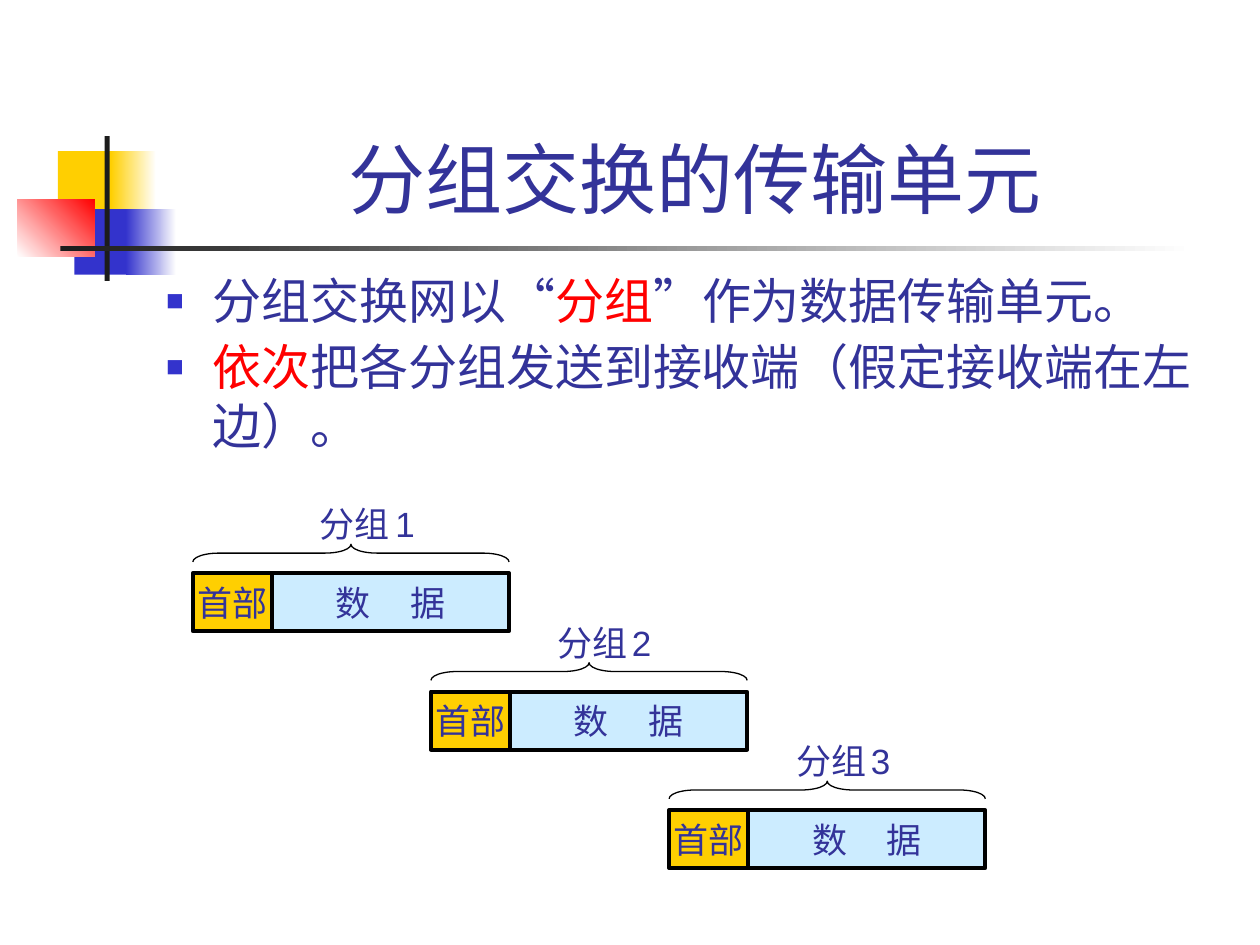
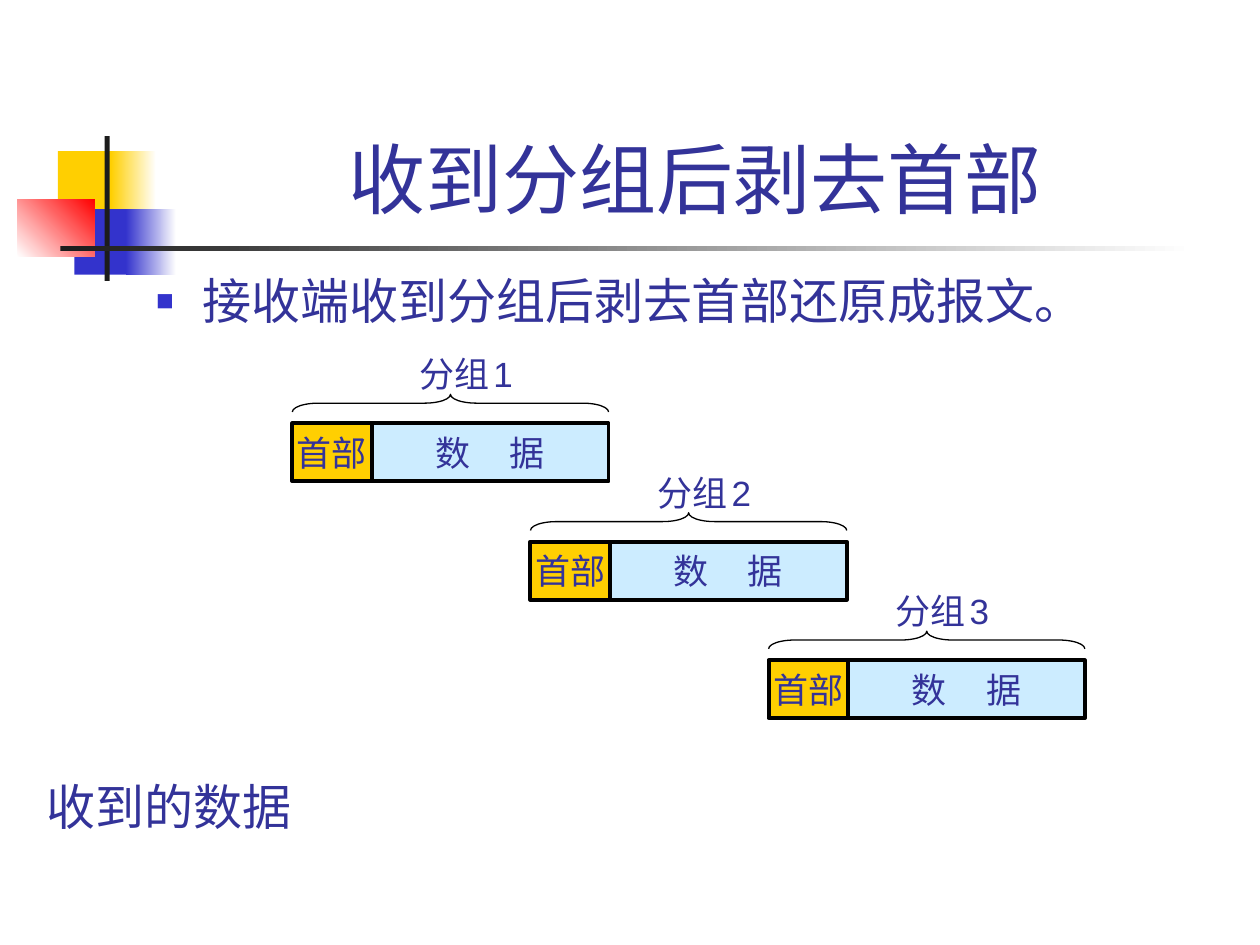
from dataclasses import dataclass
from typing import NamedTuple

from lxml.etree import SubElement
from pptx import Presentation
from pptx.dml.color import RGBColor
from pptx.enum.shapes import MSO_SHAPE
from pptx.enum.text import MSO_ANCHOR, MSO_AUTO_SIZE, PP_ALIGN
from pptx.oxml.ns import qn
from pptx.util import Inches, Pt

INK = "333399"
RED = "FF0000"
YELLOW = "FFCF01"
BLUE = "3333CC"
PALE_BLUE = "CCECFF"
CHARCOAL = "1C1C1C"
WHITE = "FFFFFF"
BLACK = "000000"
TITLE_FONT = "Arial"
LABEL_FONT = "Roboto"
STEP_X, STEP_Y = 1.89, 0.94
HEADER_WIDTH, DATA_WIDTH, PACKET_HEIGHT = 0.63, 1.88, 0.46


class Span(NamedTuple):
    text: str
    color: str = INK


@dataclass
class Block:
    left: float
    top: float
    width: float
    height: float
    start: str
    end: str = ""
    angle: int = 0


@dataclass
class PacketSlide:
    title: str
    body: tuple[float, float]
    bullets: list[list[Span]]
    first_packet: tuple[float, float]
    label_gaps: tuple[int, int, int]
    caption: str = ""


DECORATION = [
    Block(0.46, 1.2, 0.48, 0.52, YELLOW),
    Block(0.88, 1.2, 0.36, 0.52, YELLOW, WHITE),
    Block(0.59, 1.66, 0.46, 0.52, BLUE),
    Block(1, 1.66, 0.4, 0.52, BLUE, WHITE),
    Block(0.14, 1.58, 0.61, 0.46, WHITE, RED, 45),
    Block(0.83, 1.08, 0.04, 1.15, CHARCOAL),
    Block(0.48, 1.95, 9, 0.04, CHARCOAL, WHITE),
]

SLIDES = [
    PacketSlide(
        "分组交换的传输单元",
        (1.22, 4.73),
        [
            [Span("分组交换网以“"), Span("分组", RED), Span("”作为数据传输单元。")],
            [Span("依次", RED), Span("把各分组发送到接收端（假定接收端在左边）。")],
        ],
        (1.53, 4.55),
        (14, 10, 12),
    ),
    PacketSlide(
        "收到分组后剥去首部",
        (1.14, 1.1),
        [[Span("接收端收到分组后剥去首部还原成报文。")]],
        (2.32, 3.36),
        (10, 10, 10),
        "收到的数据",
    ),
]


def rgb(color: str) -> RGBColor:
    return RGBColor.from_string(color)


def set_font(font, size: float, name: str) -> None:
    font.size = Pt(size)
    font.name = name
    font.color.rgb = rgb(INK)


def add_rectangle(shapes, left: float, top: float, width: float, height: float):
    box = shapes.add_shape(
        MSO_SHAPE.RECTANGLE, Inches(left), Inches(top), Inches(width), Inches(height)
    )
    box.shadow.inherit = False
    return box


def add_text_box(shapes, left: float, top: float, width: float, height: float):
    box = shapes.add_textbox(Inches(left), Inches(top), Inches(width), Inches(height))
    box.text_frame.word_wrap = True
    return box.text_frame


def draw_block(page, block: Block) -> None:
    box = add_rectangle(page.shapes, block.left, block.top, block.width, block.height)
    box.line.fill.background()
    if not block.end:
        box.fill.solid()
        box.fill.fore_color.rgb = rgb(block.start)
        return
    box.fill.gradient()
    box.fill.gradient_angle = block.angle
    for stop, color in zip(box.fill.gradient_stops, (block.start, block.end)):
        stop.color.rgb = rgb(color)


def draw_title(page, title: str) -> None:
    frame = add_text_box(page.shapes, 1.26, 0.23, 8.52, 1.6)
    frame.vertical_anchor = MSO_ANCHOR.BOTTOM
    para = frame.paragraphs[0]
    para.text = title
    para.alignment = PP_ALIGN.CENTER
    set_font(para.font, 44, TITLE_FONT)


def add_bullet(para) -> None:
    properties = para._p.get_or_add_pPr()
    properties.set("marL", str(Inches(0.37)))
    properties.set("indent", str(-Inches(0.37)))
    bullet_color = SubElement(properties, qn("a:buClr"))
    SubElement(bullet_color, qn("a:srgbClr"), val=BLUE)
    SubElement(properties, qn("a:buSzPct"), val="60000")
    SubElement(properties, qn("a:buFont"), typeface=TITLE_FONT)
    SubElement(properties, qn("a:buChar"), char="■")


def draw_bullets(page, left: float, height: float, bullets: list[list[Span]]) -> None:
    frame = add_text_box(page.shapes, left, 2.1, 8.5, height)
    for index, spans in enumerate(bullets):
        para = frame.add_paragraph() if index else frame.paragraphs[0]
        add_bullet(para)
        if index:
            para.space_before = Pt(4)
        set_font(para.font, 28, TITLE_FONT)
        for span in spans:
            run = para.add_run()
            run.text = span.text
            run.font.color.rgb = rgb(span.color)


def draw_field(shapes, left: float, top: float, width: float, color: str, words: list[str]) -> None:
    box = add_rectangle(shapes, left, top, width, PACKET_HEIGHT)
    box.fill.solid()
    box.fill.fore_color.rgb = rgb(color)
    box.line.color.rgb = rgb(BLACK)
    box.line.width = Pt(2.25)
    frame = box.text_frame
    frame.word_wrap = False
    frame.vertical_anchor = MSO_ANCHOR.MIDDLE
    para = frame.paragraphs[0]
    para.alignment = PP_ALIGN.CENTER
    set_font(para.font, 20, LABEL_FONT)
    for word in words:
        run = para.add_run()
        run.text = word
        if word == " ":
            run.font._element.set("spc", "1800")


def draw_brace(shapes, center_x: float, center_y: float) -> None:
    thickness, span = 0.14, HEADER_WIDTH + DATA_WIDTH
    brace = shapes.add_shape(
        MSO_SHAPE.LEFT_BRACE,
        Inches(center_x - thickness / 2),
        Inches(center_y - span / 2),
        Inches(thickness),
        Inches(span),
    )
    brace.rotation = 90
    brace.adjustments[0] = 1.47
    brace.shadow.inherit = False
    brace.fill.background()
    brace.line.color.rgb = rgb(BLACK)
    brace.line.width = Pt(0.75)


def draw_label(shapes, left: float, top: float, number: int, gap: int) -> None:
    frame = add_text_box(shapes, left, top, 1.1, 0.44)
    frame.word_wrap = False
    para = frame.paragraphs[0]
    para.alignment = PP_ALIGN.LEFT
    parts = [("分组", 20, LABEL_FONT), (" ", gap, TITLE_FONT), (str(number), 20, TITLE_FONT)]
    for text, size, name in parts:
        run = para.add_run()
        run.text = text
        set_font(run.font, size, name)


def draw_packet(page, left: float, top: float, number: int, gap: int) -> None:
    shapes = page.shapes.add_group_shape().shapes
    draw_field(shapes, left + HEADER_WIDTH, top, DATA_WIDTH, PALE_BLUE, ["数", " ", "据"])
    draw_field(shapes, left, top, HEADER_WIDTH, YELLOW, ["首部"])
    draw_brace(shapes, left + (HEADER_WIDTH + DATA_WIDTH) / 2, top - 0.16)
    draw_label(shapes, left + 0.91, top - 0.61, number, gap)


def draw_caption(page, caption: str) -> None:
    frame = add_text_box(page.shapes, 0.27, 6.11, 2.2, 0.57)
    frame.auto_size = MSO_AUTO_SIZE.SHAPE_TO_FIT_TEXT
    para = frame.paragraphs[0]
    para.text = caption
    set_font(para.font, 28, LABEL_FONT)


def draw_slide(deck, content: PacketSlide) -> None:
    page = deck.slides.add_slide(deck.slide_layouts[6])
    for block in DECORATION:
        draw_block(page, block)
    draw_title(page, content.title)
    draw_bullets(page, *content.body, content.bullets)
    left, top = content.first_packet
    for index, gap in enumerate(content.label_gaps):
        draw_packet(page, left + index * STEP_X, top + index * STEP_Y, index + 1, gap)
    if content.caption:
        draw_caption(page, content.caption)


def main() -> None:
    deck = Presentation()
    deck.slide_width = Inches(10)
    deck.slide_height = Inches(7.5)
    for content in SLIDES:
        draw_slide(deck, content)
    deck.save("out.pptx")


if __name__ == "__main__":
    main()
